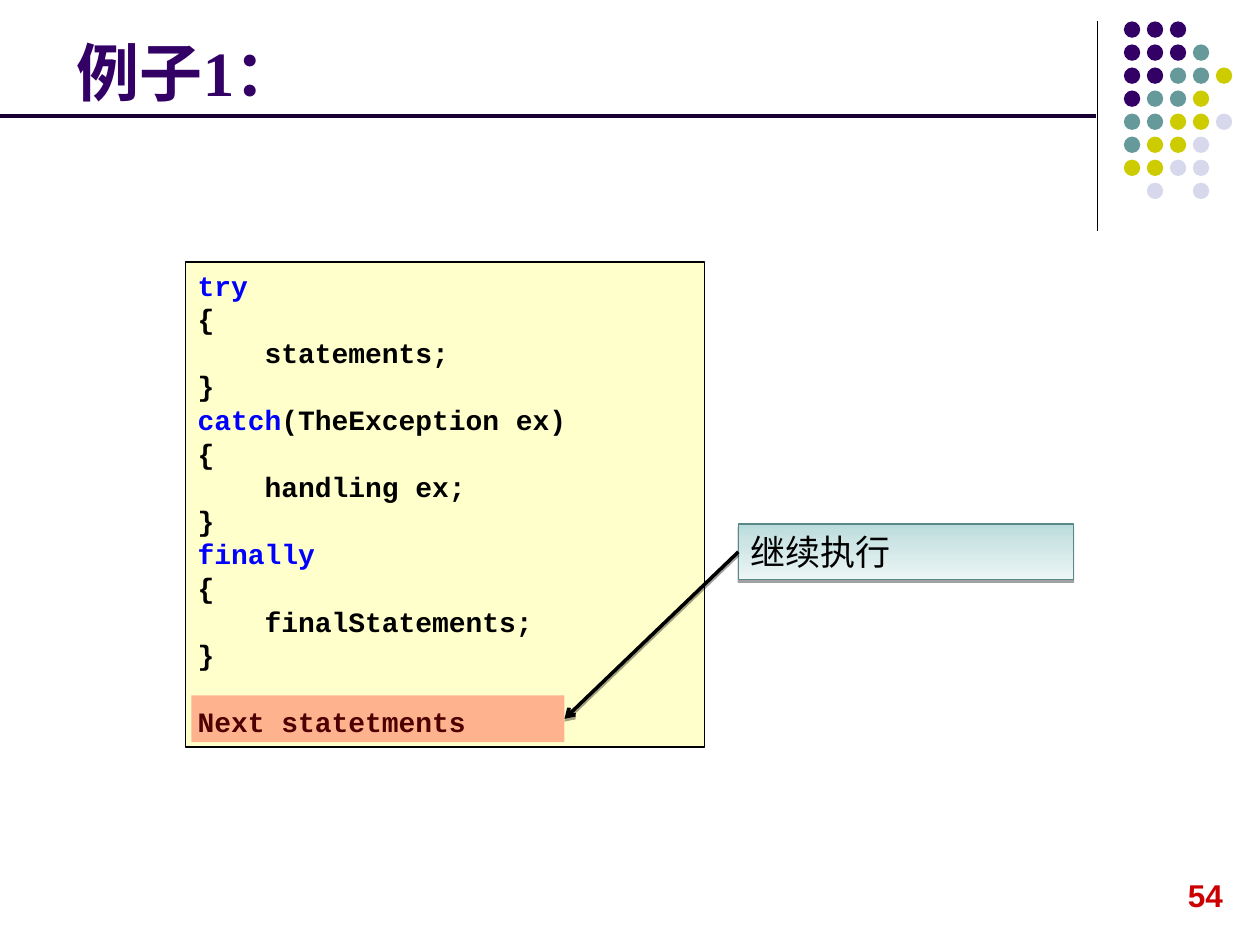
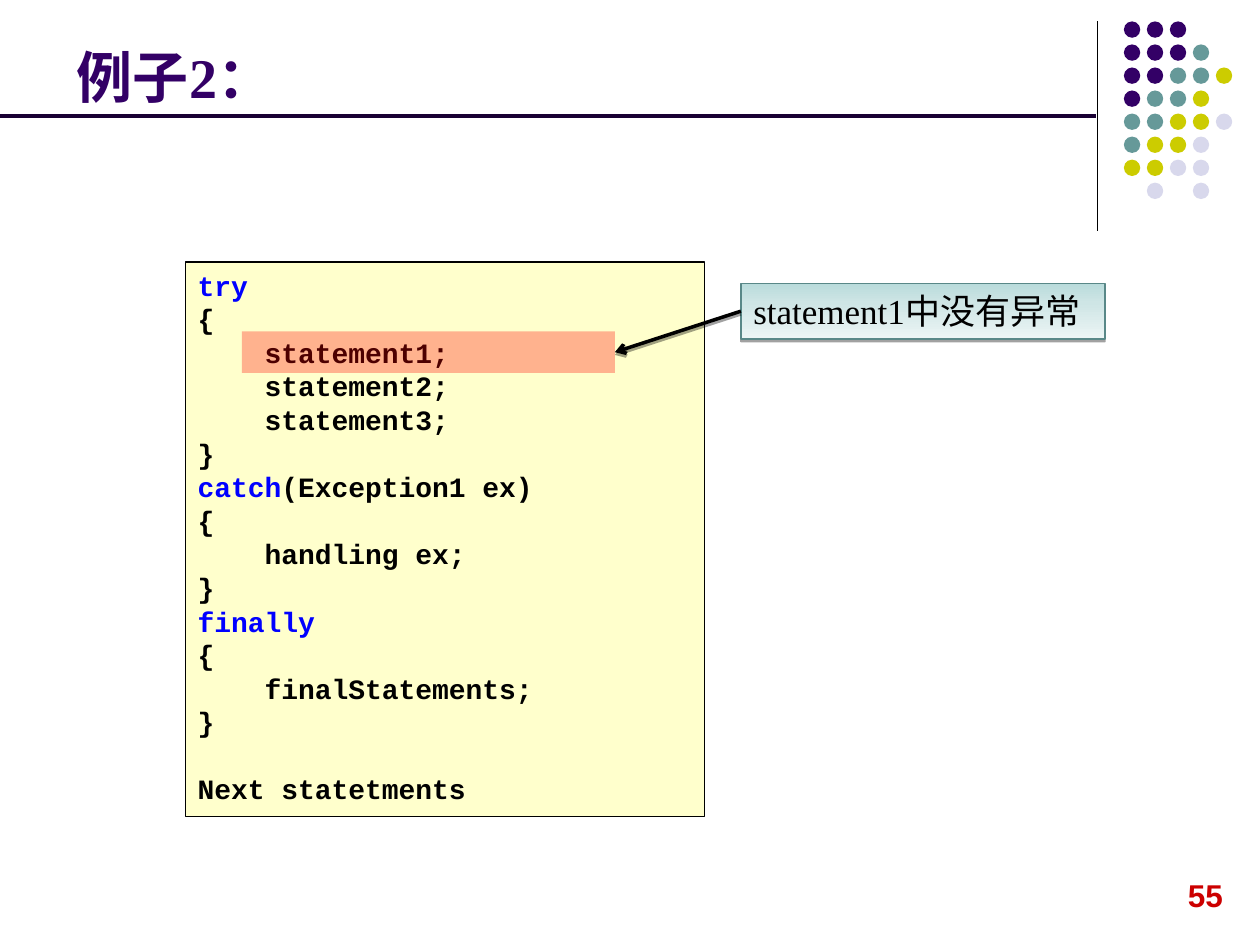
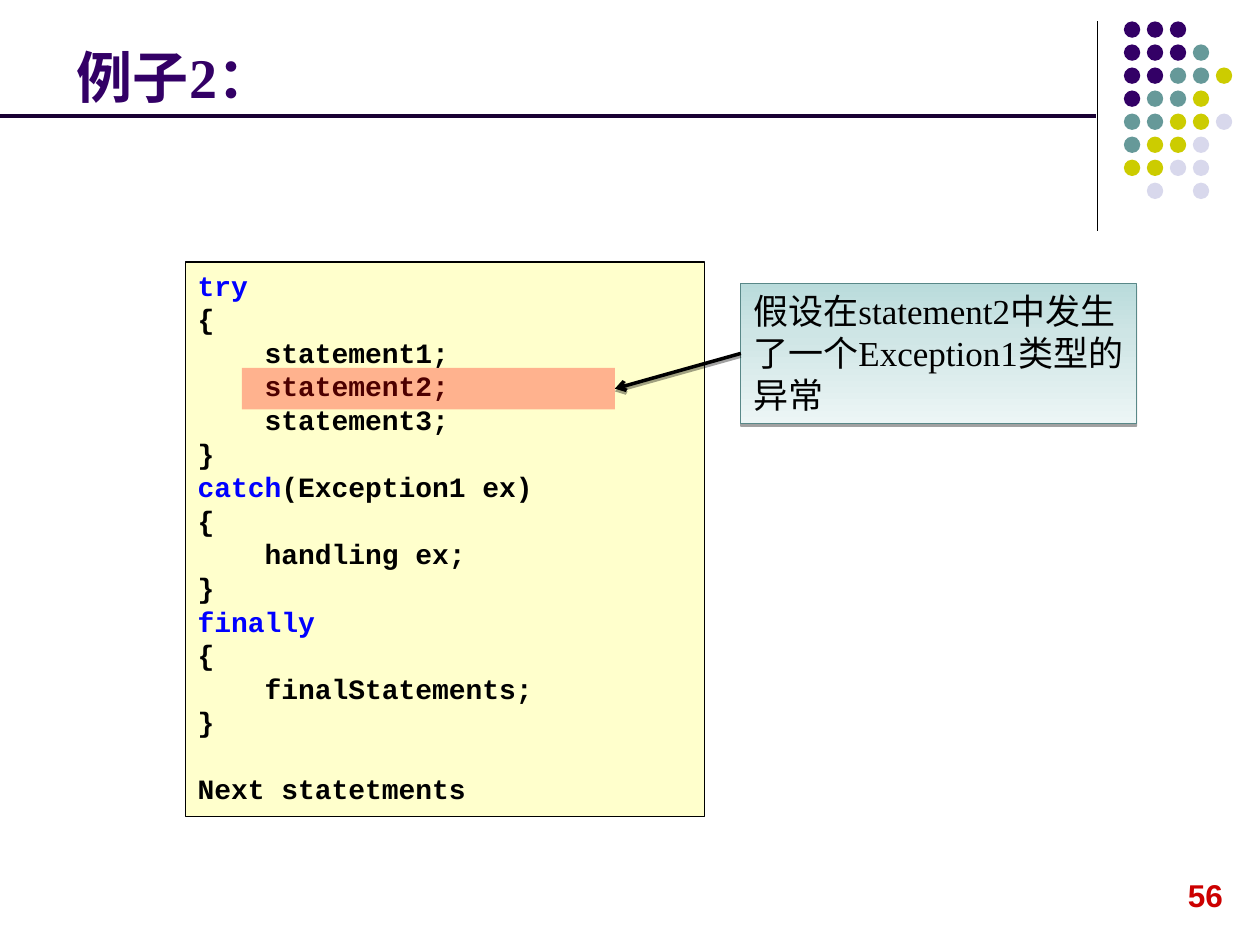
"""Builds three slides on the flow of try, catch and finally."""
from dataclasses import dataclass

import pptx
import pptx.dml.color
import pptx.enum.shapes
import pptx.enum.text
import pptx.oxml
import pptx.oxml.ns
import pptx.util

Inches, Pt = pptx.util.Inches, pptx.util.Pt
RGB = pptx.dml.color.RGBColor.from_string
MSO_SHAPE = pptx.enum.shapes.MSO_SHAPE
STRAIGHT = pptx.enum.shapes.MSO_CONNECTOR.STRAIGHT
ANCHOR = pptx.enum.text.MSO_ANCHOR
qn, parse_xml = pptx.oxml.ns.qn, pptx.oxml.parse_xml
NS = pptx.oxml.ns.nsdecls("a")


@dataclass(frozen=True)
class Theme:
    purple: str = "330066"
    teal: str = "669999"
    olive: str = "CCCC00"
    lilac: str = "D8D8EC"
    rule: str = "190033"
    ink: str = "000000"
    keyword: str = "0000FF"
    code_fill: str = "FFFFCC"
    highlight: str = "FF0000"
    callout_line: str = "598888"
    number: str = "CC0000"
    callout_stops: tuple = ((0, "B9DBDB"), (35, "CEE5E5"), (100, "ECF5F5"))
    serif: str = "Times New Roman"
    sans: str = "Arial"
    mono: str = "Courier New"
    cjk: str = "Noto Sans CJK SC"
    code_size: float = 16
    code_pitch: float = 19.2
    note_size: float = 20
    number_size: float = 18


T = Theme()


def write(sp, text, font=T.serif, size=T.note_size, color=T.ink, bold=False,
          anchor=ANCHOR.TOP, wrap=True, keywords=(), pitch=None):
    tf = sp.text_frame
    tf.auto_size = pptx.enum.text.MSO_AUTO_SIZE.NONE
    tf.word_wrap = wrap
    tf.vertical_anchor = anchor
    p = tf.paragraphs[0]
    gap = 0
    for i, line in enumerate(text.split("\n")):
        if not line:
            gap += pitch
            continue
        if i:
            p = tf.add_paragraph()
        p.alignment = pptx.enum.text.PP_ALIGN.LEFT
        if pitch:
            p.line_spacing = Pt(pitch)
        if gap:
            p.space_before = Pt(gap)
            gap = 0
        keyword = next((k for k in keywords if line.startswith(k)), "")
        for part, part_color in ((keyword, T.keyword), (line[len(keyword):], color)):
            if part:
                r = p.add_run()
                r.text = part
                r.font.name, r.font.size, r.font.bold = font, Pt(size), bold
                r.font.color.rgb = RGB(part_color)
    for rPr in sp.element.iter(qn("a:rPr")):
        rPr.find(qn("a:latin")).addnext(parse_xml(f'<a:ea {NS} typeface="{T.cjk}"/>'))


def set_effect(sp, shadow):
    effect = ('<a:outerShdw blurRad="0" dist="20320" dir="5400000" rotWithShape="0">'
              f'<a:srgbClr val="{T.ink}"><a:alpha val="37000"/></a:srgbClr></a:outerShdw>')
    sp.element.spPr.append(
        parse_xml(f'<a:effectLst {NS}>{effect if shadow else ""}</a:effectLst>'))


code1 = """try
{
    statements;
}
catch(TheException ex)
{
    handling ex;
}
finally
{
    finalStatements;
}

Next statetments"""
code2 = (code1.replace("    statements;", "    statement1;\n    statement2;\n    statement3;")
         .replace("TheException", "Exception1"))

examples = [
    dict(title="例子1：", title_size=36, title_width=8.19, code=code1, code_height=3.85,
         highlight=(1.52, 5.52, 2.96, 0.37), note="继续执行", callout=(5.86, 4.16, 2.66, 0.44)),
    dict(title="例子2：", title_size=32, title_width=8.25, code=code2, code_height=4.4,
         highlight=(1.92, 2.63, 2.96, 0.33), note="statement1中没有异常",
         callout=(5.88, 2.25, 2.89, 0.44)),
    dict(title="例子2：", title_size=32, title_width=8.25, code=code2, code_height=4.4,
         highlight=(1.92, 2.92, 2.96, 0.33),
         note="假设在statement2中发生了一个Exception1类型的异常",
         callout=(5.88, 2.25, 3.14, 1.11)),
]

prs = pptx.Presentation()
prs.slide_width, prs.slide_height = Inches(10), Inches(7.5)
layout = prs.slide_layouts[5]
slides = [prs.slides.add_slide(layout) for _ in examples]

shapes = slides[0].shapes
dots = shapes.add_group_shape()
dot_colors = {"P": T.purple, "T": T.teal, "Y": T.olive, "L": T.lilac}
dot_rows = ["PPP", "PPPT", "PPTTY", "PTTY", "TTYYL", "TYYL", "YYLL", ".L.L"]
for row, pattern in enumerate(dot_rows):
    for col, key in enumerate(pattern):
        if key in dot_colors:
            sp = dots.shapes.add_shape(
                MSO_SHAPE.OVAL, Inches(8.92 + col * 0.73 / 4),
                Inches(0.17 + row * 1.28 / 7), Inches(0.13), Inches(0.13))
            sp.shadow.inherit = False
            sp.fill.solid()
            sp.fill.fore_color.rgb = RGB(dot_colors[key])
            sp.line.fill.background()
layout.shapes.element.append(dots.element)

for ends, color, width in (((8.71, 0.17, 8.71, 1.83), T.ink, 0.75),
                           ((0, 0.92, 8.7, 0.92), T.rule, 2.25)):
    cn = shapes.add_connector(STRAIGHT, *map(Inches, ends))
    cn.line.color.rgb = RGB(color)
    cn.line.width = Pt(width)
    set_effect(cn, shadow=False)
    layout.shapes.element.append(cn.element)

for number, (s, ex) in enumerate(zip(slides, examples), start=54):
    title = s.shapes.title
    title.left, title.top = Inches(0.51), Inches(0.21)
    title.width, title.height = Inches(ex["title_width"]), Inches(0.71)
    write(title, ex["title"], size=ex["title_size"], color=T.purple, bold=True,
          anchor=ANCHOR.BOTTOM)

    sp = s.shapes.add_textbox(Inches(9.33), Inches(6.9), Inches(0.48), Inches(0.4))
    write(sp, str(number), font=T.sans, size=T.number_size, color=T.number, bold=True,
          wrap=False)

    code = s.shapes.add_shape(MSO_SHAPE.RECTANGLE, Inches(1.47), Inches(2.08),
                              Inches(4.12), Inches(ex["code_height"]))
    code.shadow.inherit = False
    code.fill.solid()
    code.fill.fore_color.rgb = RGB(T.code_fill)
    code.line.color.rgb = RGB(T.ink)
    code.line.width = Pt(0.75)
    write(code, ex["code"], font=T.mono, size=T.code_size, bold=True,
          keywords=("try", "catch", "finally"), pitch=T.code_pitch)

    highlight = s.shapes.add_shape(MSO_SHAPE.RECTANGLE, *map(Inches, ex["highlight"]))
    highlight.shadow.inherit = False
    highlight.fill.solid()
    highlight.fill.fore_color.rgb = RGB(T.highlight)
    highlight.line.fill.background()
    fill_color = highlight.element.spPr.find(".//" + qn("a:srgbClr"))
    fill_color.append(parse_xml(f'<a:alpha {NS} val="30000"/>'))

    callout = s.shapes.add_shape(MSO_SHAPE.RECTANGLE, *map(Inches, ex["callout"]))
    stops = "".join(f'<a:gs pos="{pos * 1000}"><a:srgbClr val="{color}"/></a:gs>'
                    for pos, color in T.callout_stops)
    callout.element.spPr.append(parse_xml(
        f'<a:gradFill {NS} rotWithShape="1"><a:gsLst>{stops}</a:gsLst>'
        '<a:lin ang="5400000" scaled="0"/></a:gradFill>'))
    callout.line.color.rgb = RGB(T.callout_line)
    callout.line.width = Pt(0.75)
    set_effect(callout, shadow=True)
    write(callout, ex["note"])

    cn = s.shapes.add_connector(STRAIGHT, 0, 0, 0, 0)
    cn.begin_connect(callout, 1)
    cn.end_connect(highlight, 3)
    cn.line.color.rgb = RGB(T.ink)
    cn.line.width = Pt(2)
    cn.element.spPr.find(qn("a:ln")).append(parse_xml(f'<a:tailEnd {NS} type="arrow"/>'))
    set_effect(cn, shadow=True)

prs.save("out.pptx")
